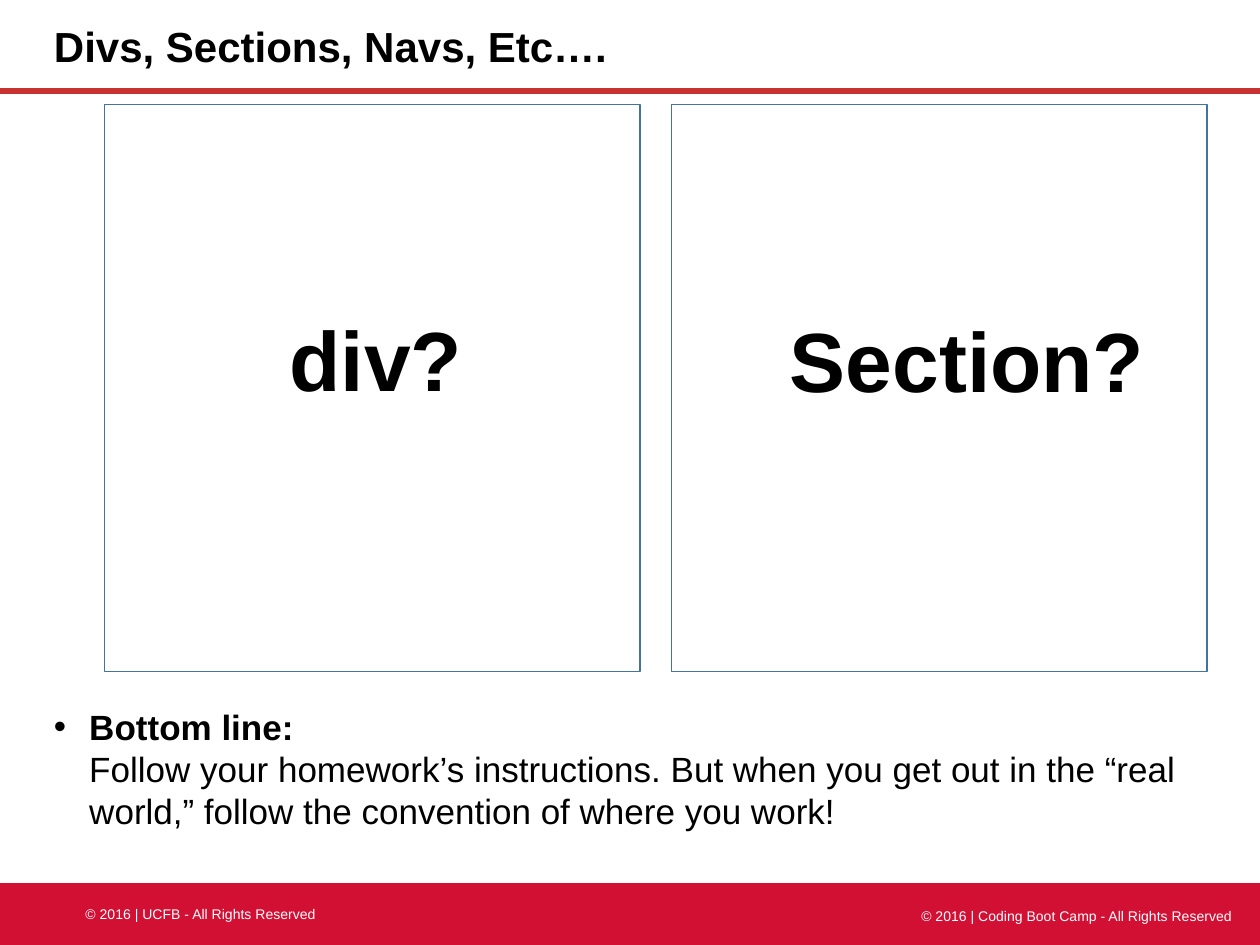
from lxml.etree import SubElement
from pptx import Presentation
from pptx.dml.color import RGBColor
from pptx.enum.shapes import MSO_CONNECTOR, MSO_SHAPE
from pptx.enum.text import PP_ALIGN
from pptx.oxml.ns import qn
from pptx.util import Inches, Pt

INK = {"black": "000000", "white": "FFFFFF", "band": "D11034",
       "rule": "C83232", "frame": "43739E"}


def color(name):
    return RGBColor.from_string(INK[name])


def place(*box):
    return [Inches(n) for n in box]


def style(para, size, ink, bold):
    font = para.font
    font.name = "Arial"
    font.size = Pt(size)
    font.bold = bold
    font.color.rgb = color(ink)


def add_text(slide, box, text, size, ink="black", bold=False,
             align=PP_ALIGN.LEFT, wrap=True):
    frame = slide.shapes.add_textbox(*place(*box)).text_frame
    frame.word_wrap = wrap
    para = frame.paragraphs[0]
    para.text = text
    para.alignment = align
    style(para, size, ink, bold)


def add_band(slide):
    band = slide.shapes.add_shape(MSO_SHAPE.FLOWCHART_PROCESS,
                                  *place(-0.01, 7.01, 10.01, 0.5))
    band.shadow.inherit = False
    band.fill.solid()
    band.fill.fore_color.rgb = color("band")
    band.line.fill.background()


def add_rule(slide):
    rule = slide.shapes.add_connector(MSO_CONNECTOR.STRAIGHT,
                                      *place(0, 0.72, 10, 0.72))
    rule.line.color.rgb = color("rule")
    rule.line.width = Pt(3.25)
    SubElement(rule._element.spPr, qn("a:effectLst"))


def add_frame(slide, left):
    frame = slide.shapes.add_shape(MSO_SHAPE.RECTANGLE,
                                   *place(left, 0.83, 4.25, 4.5))
    frame.shadow.inherit = False
    frame.fill.background()
    frame.line.color.rgb = color("frame")
    frame.line.width = Pt(1)


def add_bullet(slide, box, head, body):
    frame = slide.shapes.add_textbox(*place(*box)).text_frame
    frame.word_wrap = True
    frame.margin_top = frame.margin_bottom = Inches(0.1)
    para = frame.paragraphs[0]
    props = para._p.get_or_add_pPr()
    props.set("marL", str(Inches(0.28)))
    props.set("indent", str(Inches(-0.28)))
    SubElement(props, qn("a:buFont"), typeface="Arial")
    SubElement(props, qn("a:buChar"), char="•")
    style(para, 20, "black", False)
    lead = para.add_run()
    lead.text = head
    lead.font.bold = True
    para.add_line_break()
    para.add_run().text = body


def main():
    deck = Presentation()
    deck.slide_width, deck.slide_height = place(10, 7.5)
    slide = deck.slides.add_slide(deck.slide_layouts[6])
    add_band(slide)
    add_text(slide, (0.58, 7.14, 3.05, 0.24),
             "© 2016 | UCFB - All Rights Reserved", 8, "white")
    add_rule(slide)
    add_text(slide, (6.83, 7.15, 3.05, 0.24),
             "© 2016 | Coding Boot Camp - All Rights Reserved", 8, "white",
             align=PP_ALIGN.RIGHT)
    add_text(slide, (0.33, 0.11, 6.25, 0.5),
             "Divs, Sections, Navs, Etc….", 24, bold=True)
    add_bullet(slide, (0.33, 5.5, 9.55, 1.33), "Bottom line:",
               "Follow your homework’s instructions. But when you get out in "
               "the “real world,” follow the convention of where you work!")
    for left in (0.83, 5.33):
        add_frame(slide, left)
    add_text(slide, (2.2, 2.39, 1.59, 0.91), "div?", 48, bold=True, wrap=False)
    add_text(slide, (6.17, 2.4, 3.05, 0.91), "Section?", 48, bold=True,
             wrap=False)
    deck.save("out.pptx")


if __name__ == "__main__":
    main()
